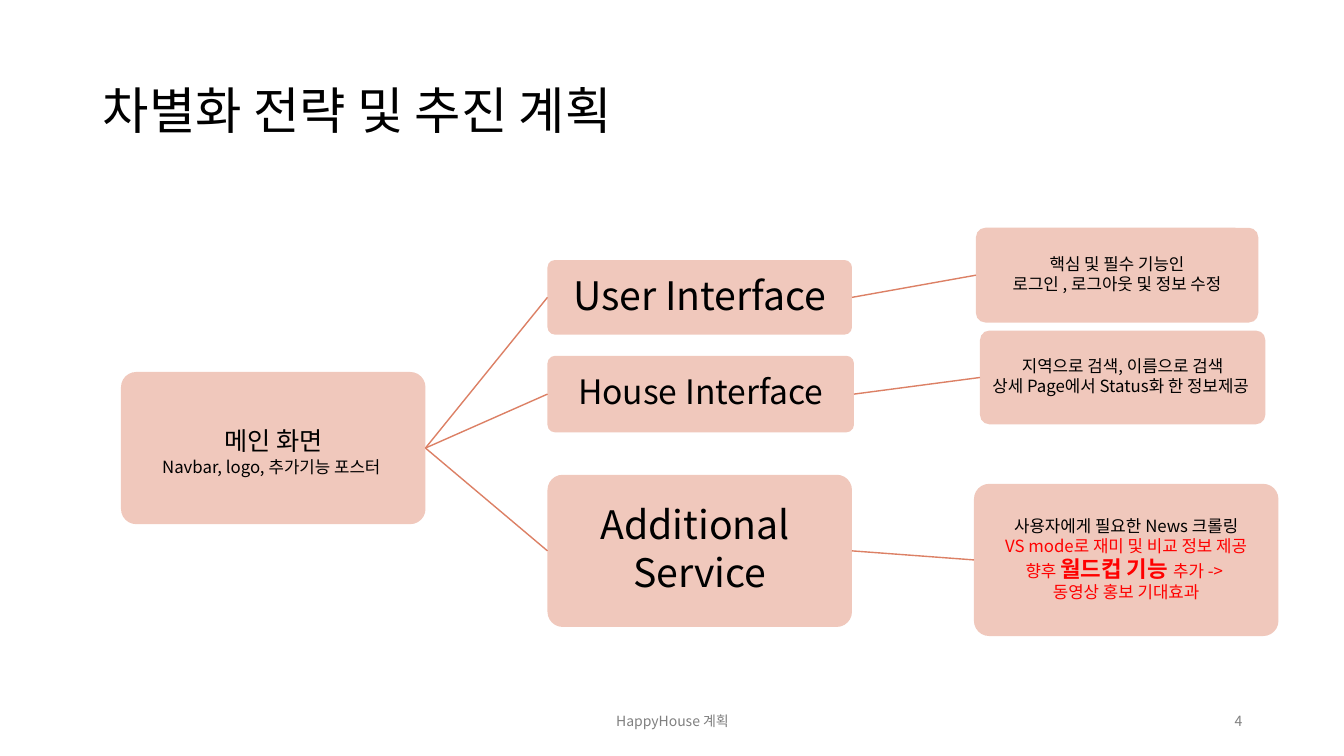
from lxml.etree import SubElement
from pptx import Presentation
from pptx.dml.color import RGBColor
from pptx.enum.shapes import MSO_CONNECTOR, MSO_SHAPE
from pptx.enum.text import MSO_ANCHOR, PP_ALIGN
from pptx.oxml.ns import qn
from pptx.util import Inches, Pt

BLACK = RGBColor(0x00, 0x00, 0x00)
GRAY = RGBColor(0x80, 0x80, 0x80)
RED = RGBColor(0xFF, 0x00, 0x00)
PEACH = RGBColor(0xF0, 0xC8, 0xBC)
TERRACOTTA = RGBColor(0xDC, 0x80, 0x65)
LEFT_SITE, RIGHT_SITE = 1, 3


def styled(text, size=12, color=BLACK, bold=False):
    """Pair a piece of text with its format."""
    return text, {"size": size, "color": color, "bold": bold}


class StrategyPage:
    font_name = "Noto Sans CJK KR"

    def __init__(self, deck):
        self.page = deck.slides.add_slide(deck.slide_layouts[6])

    def add_span(self, para, text, size, color, bold):
        span = para.add_run()
        span.text = text
        font = span.font
        font.name, font.size, font.bold = self.font_name, Pt(size), bold
        font.color.rgb = color
        SubElement(font._element, qn("a:ea"), typeface=self.font_name)

    def fill_text(self, frame, lines, align, spacing=None, gap=0):
        """Fill a frame; gap is the space after, as a share of the text size."""
        frame.word_wrap = True
        frame.vertical_anchor = MSO_ANCHOR.MIDDLE
        for index, spans in enumerate(lines):
            para = frame.paragraphs[0] if index == 0 else frame.add_paragraph()
            para.alignment = align
            para.line_spacing = spacing
            para.space_after = Pt(round(gap * spans[0][1]["size"], 1))
            for text, style in spans:
                self.add_span(para, text, **style)

    def label(self, left, top, width, height, span, align, spacing=None):
        box = self.page.shapes.add_textbox(
            Inches(left), Inches(top), Inches(width), Inches(height))
        self.fill_text(box.text_frame, [[span]], align, spacing)

    def node(self, left, top, width, height, *lines, inset_top=0.03):
        box = self.page.shapes.add_shape(
            MSO_SHAPE.ROUNDED_RECTANGLE,
            Inches(left), Inches(top), Inches(width), Inches(height))
        box.adjustments[0] = 0.1
        box.shadow.inherit = False
        box.fill.solid()
        box.fill.fore_color.rgb = PEACH
        box.line.fill.background()
        frame = box.text_frame
        frame.margin_left = frame.margin_right = frame.margin_bottom = Inches(0.03)
        frame.margin_top = Inches(inset_top)
        self.fill_text(frame, lines, PP_ALIGN.CENTER, spacing=0.9, gap=0.12)
        return box

    def link(self, parent, child):
        line = self.page.shapes.add_connector(MSO_CONNECTOR.STRAIGHT, 0, 0, 0, 0)
        line.begin_connect(parent, RIGHT_SITE)
        line.end_connect(child, LEFT_SITE)
        line.line.color.rgb = TERRACOTTA
        line.line.width = Pt(1)
        SubElement(line._element.spPr, qn("a:effectLst"))


def main():
    deck = Presentation()
    deck.slide_width, deck.slide_height = Inches(13.33), Inches(7.5)
    page = StrategyPage(deck)

    page.label(0.92, 0.77, 11.5, 0.7, styled("차별화 전략 및 추진 계획", 36),
               PP_ALIGN.LEFT, spacing=0.9)

    main_screen = page.node(
        1.2, 3.69, 3.02, 1.51,
        [styled("메인 화면", 18)],
        [styled("Navbar, logo, 추가기능 포스터 ")],
        inset_top=0.12)

    branches = [
        ((5.43, 2.58, 3.02, 0.74), [[styled("User Interface", 28)]],
         (9.68, 2.26, 2.8, 0.94),
         [[styled("핵심 및 필수 기능인")],
          [styled("로그인 , 로그아웃 및 정보 수정")]]),
        ((5.43, 3.53, 3.04, 0.76), [[styled("House Interface", 24)]],
         (9.72, 3.28, 2.83, 0.93),
         [[styled("지역으로 검색, 이름으로 검색")],
          [styled("상세 Page에서 Status화 한 정보제공 ")]]),
        ((5.43, 4.71, 3.02, 1.51),
         [[styled("Additional ", 28)], [styled("Service", 28)]],
         (9.66, 4.8, 3.02, 1.51),
         [[styled("사용자에게 필요한 News 크롤링")],
          [styled("VS mode로 재미 및 비교 정보 제공", color=RED)],
          [styled("향후 ", color=RED),
           styled("월드컵 기능 ", 16, RED, bold=True),
           styled("추가 -> ", color=RED)],
          [styled("동영상 홍보 기대효과", color=RED)]]),
    ]
    for service_area, service_lines, detail_area, detail_lines in branches:
        service = page.node(*service_area, *service_lines)
        detail = page.node(*detail_area, *detail_lines)
        page.link(main_screen, service)
        page.link(service, detail)

    page.label(4.42, 6.95, 4.5, 0.4, styled("HappyHouse 계획", 10, GRAY),
               PP_ALIGN.CENTER)
    page.label(9.42, 6.95, 3, 0.4, styled("4", 10, GRAY), PP_ALIGN.RIGHT)
    deck.save("out.pptx")


if __name__ == "__main__":
    main()
